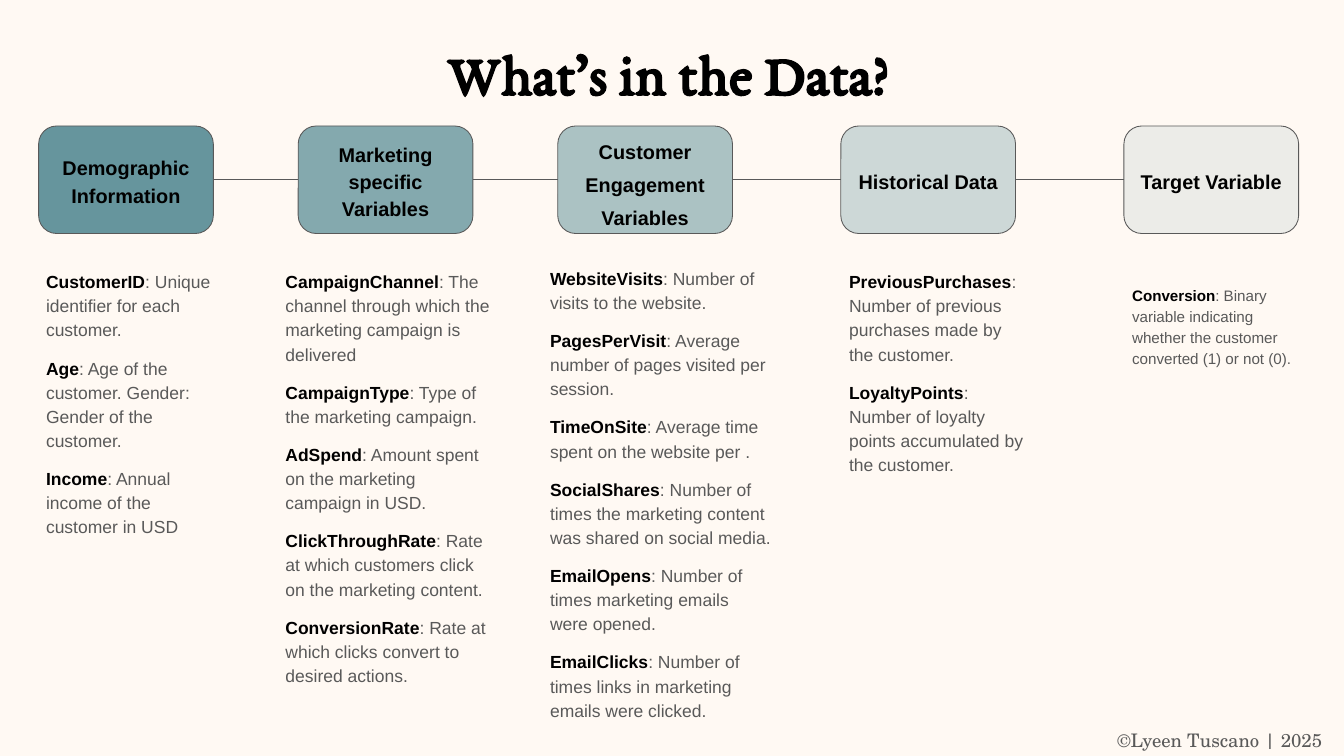
from lxml import etree
from pptx import Presentation
from pptx.dml.color import RGBColor
from pptx.enum.shapes import MSO_CONNECTOR, MSO_SHAPE
from pptx.enum.text import MSO_ANCHOR, PP_ALIGN
from pptx.oxml.ns import qn
from pptx.util import Inches, Pt

LINE, ROUND = MSO_CONNECTOR.STRAIGHT, MSO_SHAPE.ROUNDED_RECTANGLE
TOP, MIDDLE = MSO_ANCHOR.TOP, MSO_ANCHOR.MIDDLE
LEFT, CENTER = PP_ALIGN.LEFT, PP_ALIGN.CENTER

TITLE = "What’s in the Data?"
FOOTER = "©Lyeen Tuscano | 2025"
COLORS = {"paper": "FFF9F3", "teal": "66959D", "gray": "595959", "ink": "000000"}

# heading, box left, fill opacity %, heading spacing, (note left, top, width), note size, terms
GROUPS = [
    ("Demographic Information", 0.46, 100, 1.15, (0.45, 3.09, 2.34), 15, [
        ("CustomerID", "Unique identifier for each customer."),
        ("Age", "Age of the customer. Gender: Gender of the customer."),
        ("Income", "Annual income of the customer in USD"),
    ]),
    ("Marketing specific Variables", 3.55, 80, 1.15, (3.3, 3.09, 2.63), 15, [
        ("CampaignChannel", "The channel through which the marketing campaign is delivered"),
        ("CampaignType", "Type of the marketing campaign."),
        ("AdSpend", "Amount spent on the marketing campaign in USD."),
        ("ClickThroughRate", "Rate at which customers click on the marketing content."),
        ("ConversionRate", "Rate at which clicks convert to desired actions."),
    ]),
    ("Customer Engagement Variables", 6.64, 55, 1.38, (6.45, 3.05, 2.83), 15, [
        ("WebsiteVisits", "Number of visits to the website."),
        ("PagesPerVisit", "Average number of pages visited per session."),
        ("TimeOnSite", "Average time spent on the website per ."),
        ("SocialShares", "Number of times the marketing content was shared on social media."),
        ("EmailOpens", "Number of times marketing emails were opened."),
        ("EmailClicks", "Number of times links in marketing emails were clicked."),
    ]),
    ("Historical Data", 10.01, 32, 1.15, (10.01, 3.09, 2.34), 15, [
        ("PreviousPurchases", "Number of previous purchases made by the customer."),
        ("LoyaltyPoints", "Number of loyalty points accumulated by the customer."),
    ]),
    ("Target Variable", 13.38, 12, 1.15, (13.38, 3.28, 2.26), 13, [
        ("Conversion", "Binary variable indicating whether the customer converted (1) or not (0)."),
    ]),
]
BOX_TOP, BOX_W, BOX_H = 1.5, 2.08, 1.28
# note heights: one row per three lines of text, about
NOTE_ROW = 0.95


def rgb(name):
    return RGBColor.from_string(COLORS[name])


def set_frame(shape, anchor):
    frame = shape.text_frame
    frame.word_wrap = True
    frame.vertical_anchor = anchor
    frame.margin_left = frame.margin_right = Inches(0.1)
    frame.margin_top = frame.margin_bottom = Inches(0.1)
    return frame


def add_box(slide, left, top, width, height, anchor=TOP):
    box = slide.shapes.add_textbox(*map(Inches, (left, top, width, height)))
    return set_frame(box, anchor)


def set_font(font, size, face="Arial", color="ink", bold=None):
    font.size, font.name, font.bold = Pt(size), face, bold
    font.color.rgb = rgb(color)


def put_line(frame, text, size, face="Arial", color="ink", bold=True,
             align=CENTER, space=1.15, after=0):
    para = frame.paragraphs[0]
    para.text = text
    para.alignment, para.line_spacing = align, space
    para.space_after = Pt(after)
    set_font(para.font, size, face, color, bold)


def add_head(slide, text, left, alpha, space):
    box = slide.shapes.add_shape(ROUND, *map(Inches, (left, BOX_TOP, BOX_W, BOX_H)))
    box.shadow.inherit = False
    box.adjustments[0] = 0.167
    box.fill.solid()
    box.fill.fore_color.rgb = rgb("teal")
    if alpha < 100:
        tint = box.fill._xPr.find(".//" + qn("a:srgbClr"))
        etree.SubElement(tint, qn("a:alpha"), val=str(alpha * 1000))
    box.line.color.rgb = rgb("gray")
    box.line.width = Pt(0.75)
    put_line(set_frame(box, MIDDLE), text, 17, space=space, after=4)


def add_link(slide, start, end):
    mid = BOX_TOP + BOX_H / 2
    link = slide.shapes.add_connector(LINE, *map(Inches, (start, mid, end, mid)))
    link.line.color.rgb = rgb("gray")
    link.line.width = Pt(0.75)
    etree.SubElement(link._element.spPr, qn("a:effectLst"))


def add_notes(slide, place, size, terms):
    frame = add_box(slide, *place, NOTE_ROW * len(terms) + 0.2)
    for i, (term, text) in enumerate(terms):
        para = frame.add_paragraph() if i else frame.paragraphs[0]
        para.line_spacing = 1.15
        para.space_before = Pt(12 if i else 0)
        set_font(para.font, size, color="gray")
        name = para.add_run()
        name.text = term
        name.font.bold = True
        name.font.color.rgb = rgb("ink")
        para.add_run().text = ": " + text


def main():
    deck = Presentation()
    deck.slide_width, deck.slide_height = Inches(16), Inches(9)
    slide = deck.slides.add_slide(deck.slide_layouts[6])
    slide.background.fill.solid()
    slide.background.fill.fore_color.rgb = rgb("paper")

    put_line(add_box(slide, 13.2, 8.63, 2.8, 0.37, MIDDLE), FOOTER, 16,
             "TeX Gyre Schola", "gray", False, LEFT, 1.0)
    put_line(add_box(slide, 0.45, 0.27, 15.01, 1.04, MIDDLE), TITLE, 50,
             "EB Garamond", after=6)
    for head, left, alpha, space, place, size, terms in GROUPS:
        add_head(slide, head, left, alpha, space)
        add_notes(slide, place, size, terms)
    lefts = [group[1] for group in GROUPS]
    for left, after in zip(lefts, lefts[1:]):
        add_link(slide, left + BOX_W, after)
    deck.save("out.pptx")


if __name__ == "__main__":
    main()
